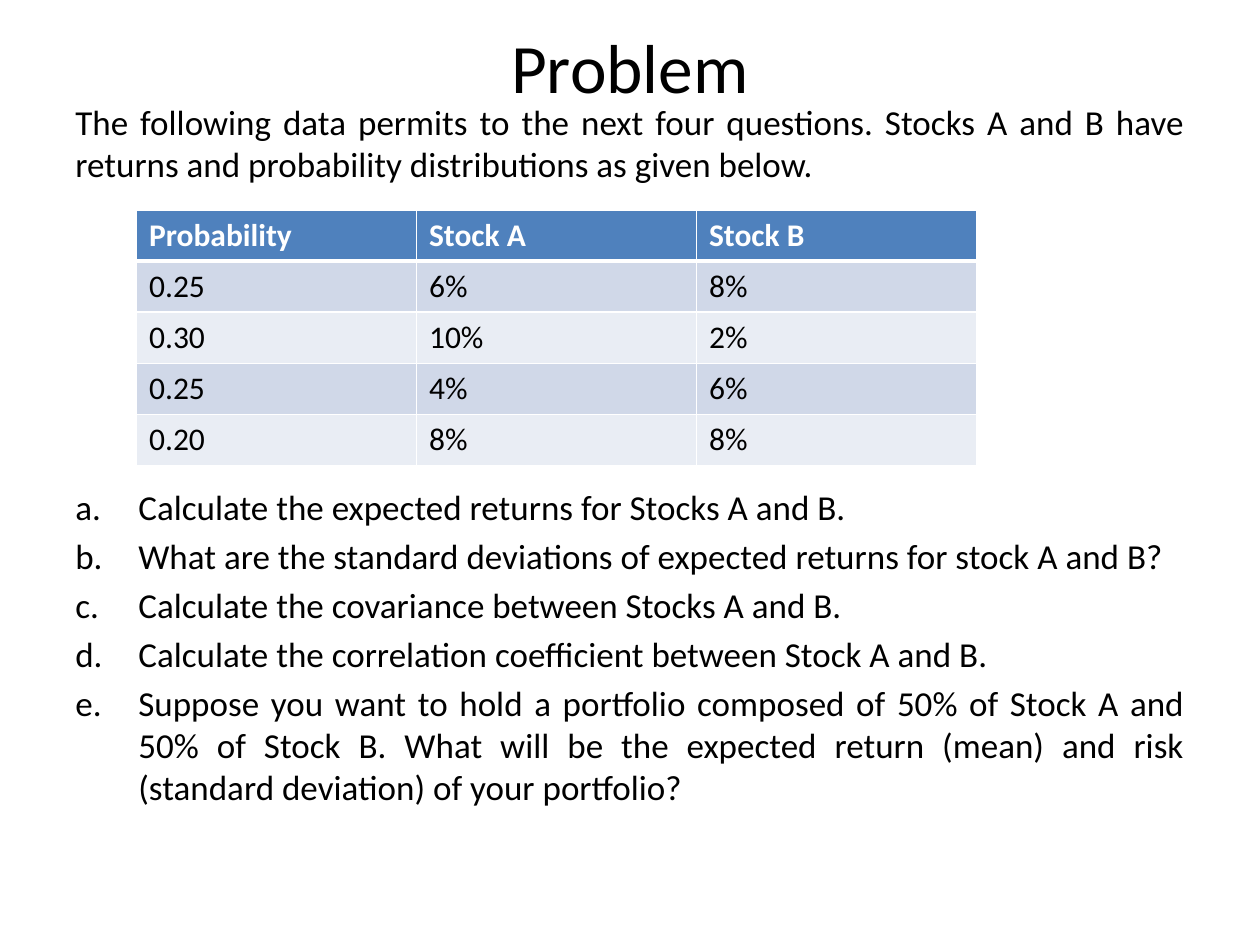
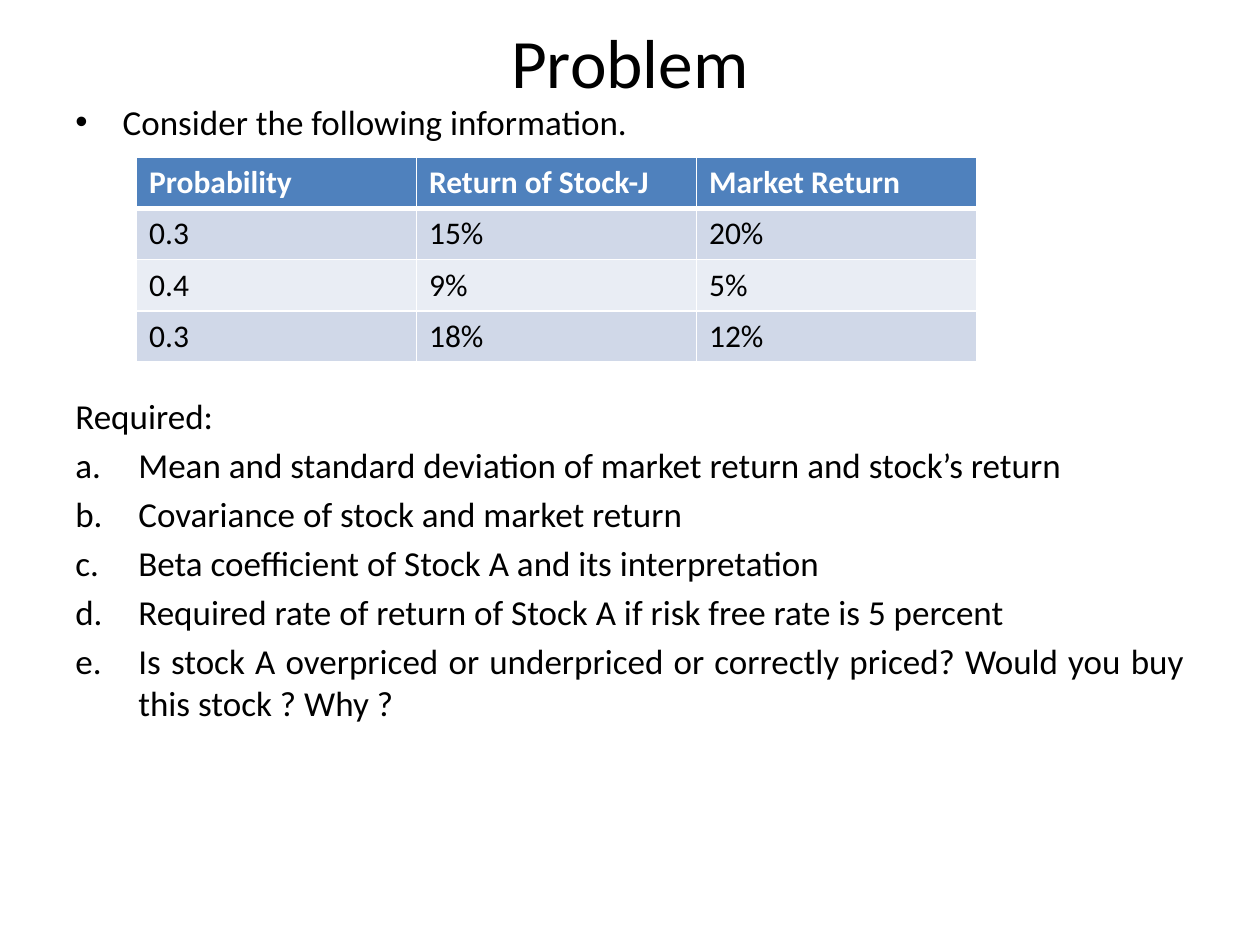
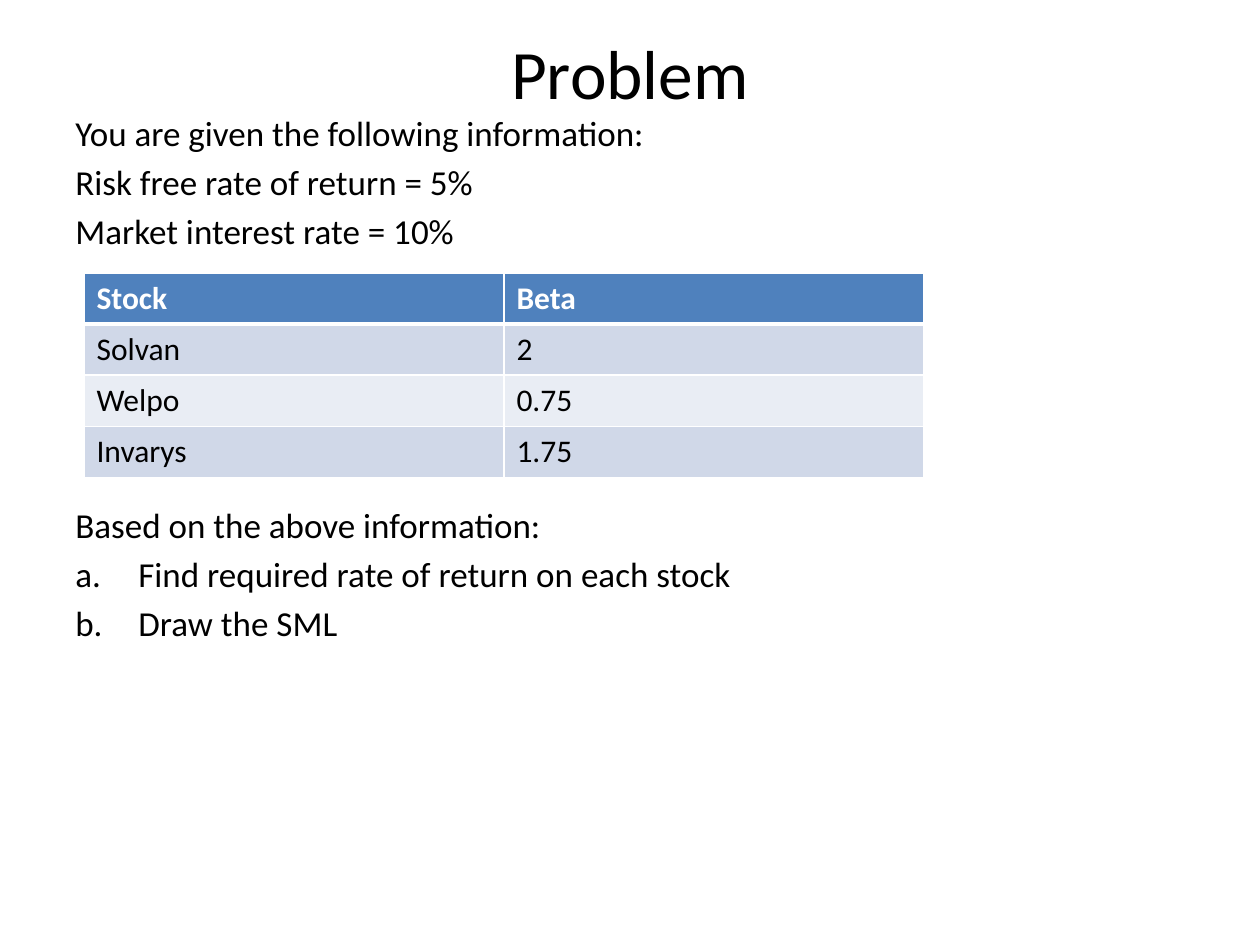
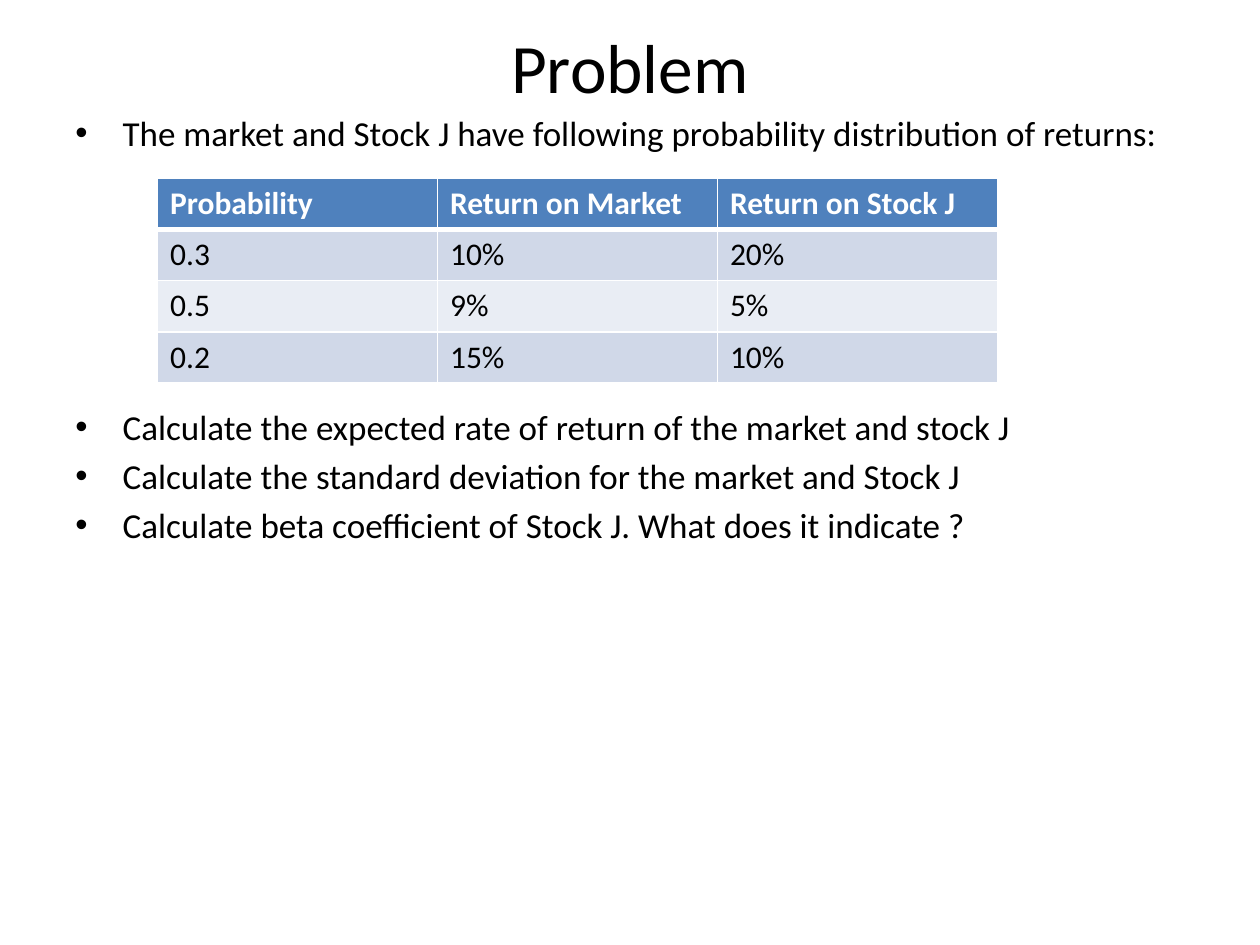
from dataclasses import dataclass
from enum import Enum

from pptx import Presentation
from pptx.dml.color import RGBColor as RGB
from pptx.enum.text import MSO_ANCHOR as Anchor, MSO_AUTO_SIZE as AutoSize, PP_ALIGN as Align
from pptx.oxml.ns import qn
from pptx.util import Pt
from lxml.etree import SubElement


@dataclass(frozen=True)
class Theme:
    font: str = "Calibri"
    title_size: float = 39.6
    body_size: float = 20
    table_size: float = 18
    text: RGB = RGB(0, 0, 0)
    light: RGB = RGB(0xFF, 0xFF, 0xFF)
    header: RGB = RGB(0x4F, 0x81, 0xBD)
    bands: tuple = (RGB(0xD0, 0xD8, 0xE8), RGB(0xE9, 0xED, 0xF4))
    rule: float = 1
    header_rule: float = 3


THEME = Theme()
SLIDE_W, SLIDE_H = 720, 540
MARGIN = 36
TITLE_TOP = 21.6
TABLE_W, ROW_H = 480, 29.2
PARA_GAP = 4
LINE_STEP = 28  # one body line with the gap above it


class Marker(Enum):
    """Paragraph marker; the value is its hanging indent."""
    NONE = 0
    BULLET = 27
    LETTER = 36


@dataclass(frozen=True)
class Para:
    text: str
    marker: Marker = Marker.NONE
    justify: bool = False
    skip: int = 0  # body lines left free above, for the table


@dataclass(frozen=True)
class Grid:
    left: float
    top: float
    rows: tuple


@dataclass(frozen=True)
class Problem:
    title_bottom: float
    body_top: float
    body_bottom: float
    paras: tuple
    grid: Grid


def letters(*texts: str, justify: bool = False, skip: int = 0) -> tuple:
    return tuple(Para(t, Marker.LETTER, justify, 0 if i else skip) for i, t in enumerate(texts))


def bullets(*texts: str, skip: int = 0) -> tuple:
    return tuple(Para(t, Marker.BULLET, skip=0 if i else skip) for i, t in enumerate(texts))


PROBLEMS = (
    Problem(
        54, 54, 510,
        (Para("The following data permits to the next four questions. Stocks A and B have "
              "returns and probability distributions as given below.", justify=True),
         *letters("Calculate the expected returns for Stocks A and B.",
                  "What are the standard deviations of expected returns for stock A and B?",
                  "Calculate the covariance between Stocks A and B.",
                  "Calculate the correlation coefficient between Stock A and B.",
                  "Suppose you want to hold a portfolio composed of 50% of Stock A and 50% of "
                  "Stock B. What will be the expected return (mean) and risk (standard "
                  "deviation) of your portfolio?", justify=True, skip=6)),
        Grid(78, 120, (("Probability", "Stock A", "Stock B"),
                       ("0.25", "6%", "8%"),
                       ("0.30", "10%", "2%"),
                       ("0.25", "4%", "6%"),
                       ("0.20", "8%", "8%")))),
    Problem(
        48, 54, 516,
        (*bullets("Consider the following information."),
         Para("Required:", skip=5),
         *letters("Mean and standard deviation of market return and stock’s return",
                  "Covariance of stock and market return",
                  "Beta coefficient of Stock A and its interpretation",
                  "Required rate of return of Stock A if risk free rate is 5 percent",
                  "Is stock A overpriced or underpriced or correctly priced? Would you buy "
                  "this stock ? Why ?", justify=True)),
        Grid(78, 90, (("Probability", "Return of Stock-J", "Market Return"),
                      ("0.3", "15%", "20%"),
                      ("0.4", "9%", "5%"),
                      ("0.3", "18%", "12%")))),
    Problem(
        60, 60, 482.4,
        (Para("You are given the following information:"),
         Para("Risk free rate of return = 5%"),
         Para("Market interest rate = 10%"),
         Para("Based on the above information:", skip=5),
         *letters("Find required rate of return on each stock", "Draw the SML")),
        Grid(48, 156, (("Stock", "Beta"),
                       ("Solvan", "2"),
                       ("Welpo", "0.75"),
                       ("Invarys", "1.75")))),
    Problem(
        54, 60, 482.4,
        (*bullets("The market and Stock J have following probability distribution of returns:"),
         *bullets("Calculate the expected rate of return of the market and stock J",
                  "Calculate the standard deviation for the market and Stock J",
                  "Calculate beta coefficient of Stock J. What does it indicate ?", skip=5)),
        Grid(90, 102, (("Probability", "Return on Market", "Return on Stock J"),
                       ("0.3", "10%", "20%"),
                       ("0.5", "9%", "5%"),
                       ("0.2", "15%", "10%")))),
)


def style_runs(p, size: float, color: RGB = THEME.text, bold: bool = False) -> None:
    for r in p.runs:
        r.font.name = THEME.font
        r.font.size = Pt(size)
        r.font.bold = bold
        r.font.color.rgb = color


def add_text_frame(s, top: float, bottom: float, anchor: Anchor):
    sp = s.shapes.add_textbox(Pt(MARGIN), Pt(top), Pt(SLIDE_W - 2 * MARGIN), Pt(bottom - top))
    tf = sp.text_frame
    tf.word_wrap = True
    tf.auto_size = AutoSize.NONE
    tf.vertical_anchor = anchor
    return tf


def add_title(s, bottom: float) -> None:
    p = add_text_frame(s, TITLE_TOP, bottom, Anchor.MIDDLE).paragraphs[0]
    p.text = "Problem"
    p.alignment = Align.CENTER
    style_runs(p, THEME.title_size)


def set_marker(p, marker: Marker) -> None:
    if marker is Marker.NONE:
        return
    pPr = p._p.get_or_add_pPr()
    pPr.set("marL", str(Pt(marker.value)))
    pPr.set("indent", str(-Pt(marker.value)))
    if marker is Marker.BULLET:
        SubElement(pPr, qn("a:buFont"), typeface="Arial")
        SubElement(pPr, qn("a:buChar"), char="•")
    else:
        SubElement(pPr, qn("a:buFont"), typeface="+mj-lt")
        SubElement(pPr, qn("a:buAutoNum"), type="alphaLcPeriod")


def add_body(s, problem: Problem) -> None:
    tf = add_text_frame(s, problem.body_top, problem.body_bottom, Anchor.TOP)
    for i, para in enumerate(problem.paras):
        p = tf.add_paragraph() if i else tf.paragraphs[0]
        p.text = para.text
        p.alignment = Align.JUSTIFY if para.justify else Align.LEFT
        p.space_before = Pt(PARA_GAP + para.skip * LINE_STEP)
        set_marker(p, para.marker)
        style_runs(p, THEME.body_size)


def set_borders(cell, top: float, bottom: float) -> None:
    tcPr = cell._tc.get_or_add_tcPr()
    widths = {"L": THEME.rule, "R": THEME.rule, "T": top, "B": bottom}
    for side, width in widths.items():
        ln = SubElement(tcPr, qn(f"a:ln{side}"), w=str(Pt(width)))
        fill = SubElement(ln, qn("a:solidFill"))
        SubElement(fill, qn("a:srgbClr"), val=str(THEME.light))


def add_grid(s, grid: Grid) -> None:
    n_rows, n_cols = len(grid.rows), len(grid.rows[0])
    table = s.shapes.add_table(n_rows, n_cols, Pt(grid.left), Pt(grid.top),
                               Pt(TABLE_W), Pt(n_rows * ROW_H)).table
    for col in table.columns:
        col.width = Pt(TABLE_W / n_cols)
    for i, texts in enumerate(grid.rows):
        table.rows[i].height = Pt(ROW_H)
        is_header = i == 0
        for j, text in enumerate(texts):
            cell = table.cell(i, j)
            set_borders(cell,
                        top=THEME.header_rule if i == 1 else THEME.rule,
                        bottom=THEME.header_rule if is_header else THEME.rule)
            cell.fill.solid()
            cell.fill.fore_color.rgb = THEME.header if is_header else THEME.bands[(i - 1) % 2]
            cell.text_frame.text = text
            style_runs(cell.text_frame.paragraphs[0], THEME.table_size,
                       THEME.light if is_header else THEME.text, is_header)


def main() -> None:
    prs = Presentation()
    prs.slide_width, prs.slide_height = Pt(SLIDE_W), Pt(SLIDE_H)
    for problem in PROBLEMS:
        s = prs.slides.add_slide(prs.slide_layouts[6])
        add_title(s, problem.title_bottom)
        add_body(s, problem)
        add_grid(s, problem.grid)
    prs.save("out.pptx")


if __name__ == "__main__":
    main()
